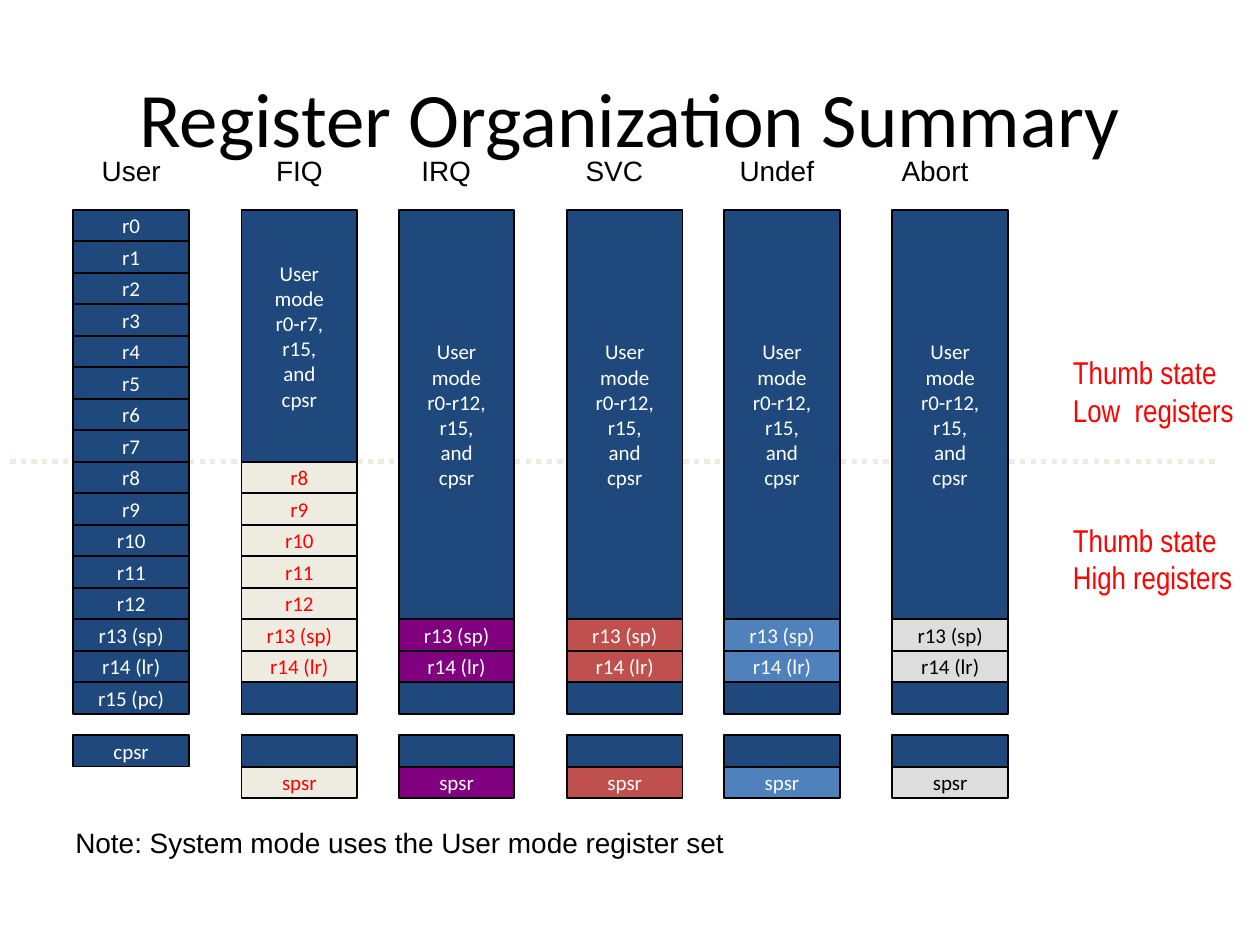
from lxml import etree
from pptx import Presentation, util as u
from pptx.dml.color import RGBColor
from pptx.enum import dml, shapes, text
from pptx.oxml.ns import qn

BLACK = RGBColor(0x00, 0x00, 0x00)
WHITE = RGBColor(0xFF, 0xFF, 0xFF)
RED = RGBColor(0xFF, 0x00, 0x00)
NAVY = RGBColor(0x1F, 0x49, 0x7D)
CREAM = RGBColor(0xEE, 0xEC, 0xE1)
PURPLE = RGBColor(0x80, 0x00, 0x80)
BRICK = RGBColor(0xC0, 0x50, 0x4D)
BLUE = RGBColor(0x4F, 0x81, 0xBD)
GREY = RGBColor(0xDD, 0xDD, 0xDD)

# Content
TITLE = "Register Organization Summary"
NOTE = "Note: System mode uses the User mode register set"
REGISTERS = [f"r{number}" for number in range(13)] + ["r13 (sp)", "r14 (lr)", "r15 (pc)"]
PC_ROW = 15
# Mode, label left and width (cm), first banked register, fill, text colour
MODES = [
    ("User", 1.48, 2.33, 0, NAVY, WHITE),
    ("FIQ", 4.87, 2.33, 8, CREAM, RED),
    ("IRQ", 7.83, 2.33, 13, PURPLE, WHITE),
    ("SVC", 11.22, 2.33, 13, BRICK, WHITE),
    ("Undef", 14.39, 2.54, 13, BLUE, WHITE),
    ("Abort", 17.58, 2.54, 13, GREY, BLACK),
]
# Lines and top (cm)
THUMB_LABELS = [
    (["Thumb state", "Low  registers"], 6.99),
    (["Thumb state", "High registers"], 10.37),
]

# Grid: columns come in pairs, eight rows fill 5.08 cm
FIRST_LEFT, PAIR_PITCH, PAIR_OFFSET = u.Cm(1.48), u.Cm(6.56), u.Cm(3.39)
COLUMN_WIDTH = u.Cm(2.33)
REGISTER_TOP, STATUS_TOP = u.Cm(4.23), u.Cm(14.82)
ROW = u.Cm(5.08) // 8

presentation = Presentation()
presentation.slide_width, presentation.slide_height = u.Cm(25.4), u.Cm(19.05)
slide = presentation.slides.add_slide(presentation.slide_layouts[6])


def write(shape, lines, font, size, color, align=text.PP_ALIGN.CENTER,
          anchor=text.MSO_ANCHOR.MIDDLE, wrap=True):
    frame = shape.text_frame
    frame.word_wrap = wrap
    frame.vertical_anchor = anchor
    for index, line in enumerate(lines):
        paragraph = frame.add_paragraph() if index else frame.paragraphs[0]
        paragraph.text = line
        paragraph.alignment = align
        paragraph.font.name = font
        paragraph.font.size = u.Pt(size)
        paragraph.font.color.rgb = color


def add_label(lines, left, top, width, height, font, size, color=BLACK, **options):
    box = slide.shapes.add_textbox(u.Cm(left), u.Cm(top), u.Cm(width), u.Cm(height))
    write(box, lines, font, size, color, **options)


def add_cell(left, top, rows, label, fill, color):
    cell = slide.shapes.add_shape(shapes.MSO_SHAPE.RECTANGLE, left, top, COLUMN_WIDTH, rows * ROW)
    cell.shadow.inherit = False
    cell.fill.solid()
    cell.fill.fore_color.rgb = fill
    cell.line.color.rgb = BLACK
    cell.line.width = u.Pt(1)
    if label:
        write(cell, [label], "Calibri", 12, color, wrap=False)


# Dotted divider between low and high registers
divider_y = REGISTER_TOP + 8 * ROW
divider = slide.shapes.add_connector(
    shapes.MSO_CONNECTOR.STRAIGHT, u.Cm(0.21), divider_y, u.Cm(24.55), divider_y)
divider.line.color.rgb = CREAM
divider.line.width = u.Pt(3)
divider.line.dash_style = dml.MSO_LINE.ROUND_DOT
etree.SubElement(divider._element.spPr, qn("a:effectLst"))

add_label([TITLE], 1.27, 0.76, 22.86, 3.18, "Calibri", 44)

# One column per mode
for column, (mode, label_left, label_width, first, fill, color) in enumerate(MODES):
    pair, side = divmod(column, 2)
    left = FIRST_LEFT + pair * PAIR_PITCH + side * PAIR_OFFSET
    add_label([mode], label_left, 2.96, label_width, 0.94, "Arial", 16)

    if first:
        shared = f"User\nmode\nr0-r{first - 1},\nr15,\nand\ncpsr"
        add_cell(left, REGISTER_TOP, first, shared, NAVY, WHITE)
    for row in range(first, PC_ROW):
        add_cell(left, REGISTER_TOP + row * ROW, 1, REGISTERS[row], fill, color)

    # Program counter and status registers are named only in the User column
    add_cell(left, REGISTER_TOP + PC_ROW * ROW, 1, "" if first else REGISTERS[PC_ROW], NAVY, WHITE)
    add_cell(left, STATUS_TOP, 1, "" if first else "cpsr", NAVY, WHITE)
    if first:
        add_cell(left, STATUS_TOP + ROW, 1, "spsr", fill, color)

# Side labels and note
for lines, top in THUMB_LABELS:
    add_label(lines, 21.38, top, 4.49, 1.8, "Arial Narrow", 18, RED,
              align=text.PP_ALIGN.LEFT, anchor=text.MSO_ANCHOR.TOP, wrap=False)
add_label([NOTE], 1.27, 16.51, 19.25, 0.94, "Arial", 16, align=text.PP_ALIGN.LEFT)

presentation.save("out.pptx")
